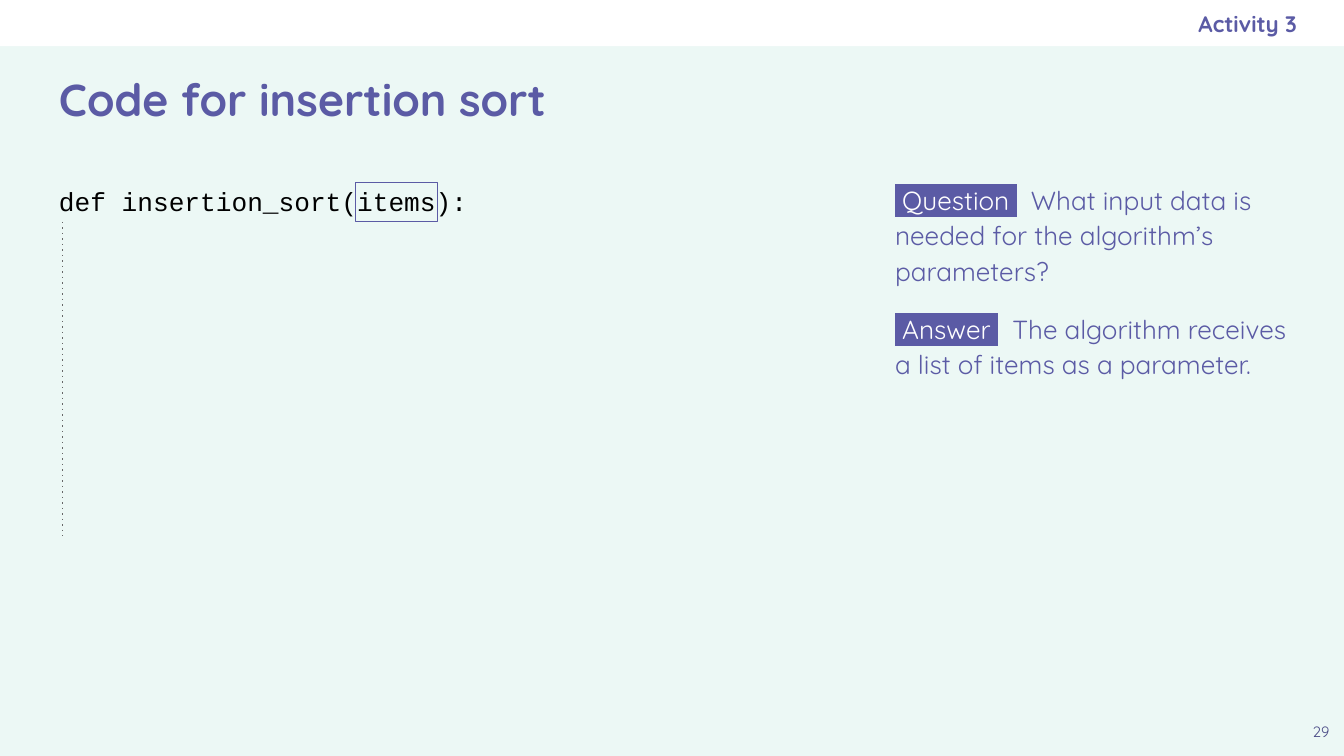
from dataclasses import dataclass

from lxml import etree
from pptx import Presentation
from pptx.dml.color import RGBColor
from pptx.enum.dml import MSO_LINE
from pptx.enum.shapes import MSO_CONNECTOR, MSO_SHAPE
from pptx.enum.text import MSO_ANCHOR, PP_ALIGN
from pptx.oxml.ns import qn
from pptx.util import Inches, Pt

DOT = MSO_LINE.ROUND_DOT
STRAIGHT = MSO_CONNECTOR.STRAIGHT
RECTANGLE = MSO_SHAPE.RECTANGLE
TOP, MIDDLE = MSO_ANCHOR.TOP, MSO_ANCHOR.MIDDLE
LEFT, CENTER, RIGHT = PP_ALIGN.LEFT, PP_ALIGN.CENTER, PP_ALIGN.RIGHT

COLORS = {
    "mint": "ECF8F5",
    "white": "FFFFFF",
    "black": "000000",
    "purple": "5B5BA5",
    "dark_purple": "494985",
    "gray": "666666",
}
BODY_FONT, CODE_FONT = "Quicksand", "Courier New"

# A grid of square cells, 100 columns across the slide
COLUMNS, ROWS = 100, 56.25
CELL = Inches(10) / COLUMNS
MARGIN = 3.4
HEADER_ROWS = 3.45
CONTENT_ROW = 12.8
CONTENT_RIGHT = COLUMNS - MARGIN


@dataclass(frozen=True)
class Box:
    column: float
    row: float
    columns: float
    rows: float

    def lengths(self) -> list[int]:
        return [cells(n) for n in (self.column, self.row, self.columns, self.rows)]


@dataclass(frozen=True)
class Label:
    text: str
    box: Box
    size: float
    color: str = "purple"
    font: str = BODY_FONT
    bold: bool = False
    align: PP_ALIGN = LEFT
    anchor: MSO_ANCHOR = TOP
    right_inset: float = 1


@dataclass(frozen=True)
class Prompt:
    tag: str
    text: str
    space_before: float = 0


def cells(count: float) -> int:
    return round(count * CELL)


def rgb(name: str) -> RGBColor:
    return RGBColor.from_string(COLORS[name])


def add_frame(slide, box: Box, inset: float, anchor: MSO_ANCHOR = TOP):
    frame = slide.shapes.add_textbox(*box.lengths()).text_frame
    frame.word_wrap = True
    frame.vertical_anchor = anchor
    frame.margin_left = frame.margin_right = cells(inset)
    frame.margin_top = frame.margin_bottom = cells(inset)
    return frame


def add_label(slide, label: Label) -> None:
    frame = add_frame(slide, label.box, 1, label.anchor)
    frame.margin_right = cells(label.right_inset)
    line = frame.paragraphs[0]
    line.text = label.text
    line.alignment = label.align
    line.font.name = label.font
    line.font.size = Pt(label.size)
    line.font.bold = label.bold
    line.font.color.rgb = rgb(label.color)


def add_rectangle(slide, box: Box, fill: str = "", outline: str = "") -> None:
    rectangle = slide.shapes.add_shape(RECTANGLE, *box.lengths())
    rectangle.shadow.inherit = False
    if fill:
        rectangle.fill.solid()
        rectangle.fill.fore_color.rgb = rgb(fill)
    else:
        rectangle.fill.background()
    if outline:
        rectangle.line.color.rgb = rgb(outline)
        rectangle.line.width = Pt(0.75)
    else:
        rectangle.line.fill.background()


def add_guide(slide, column: float, top: float, bottom: float) -> None:
    ends = [cells(n) for n in (column, top, column, bottom)]
    guide = slide.shapes.add_connector(STRAIGHT, *ends)
    guide.line.color.rgb = rgb("gray")
    guide.line.width = Pt(0.75)
    guide.line.dash_style = DOT
    # The widely spaced dot has no enum member
    properties = guide._element.spPr
    properties.find(f".//{qn('a:prstDash')}").set("val", "dot")
    etree.SubElement(properties, qn("a:effectLst"))


def highlight(run, color: str) -> None:
    fill = run.font._element.find(qn("a:solidFill"))
    marker = etree.Element(qn("a:highlight"))
    etree.SubElement(marker, qn("a:srgbClr"), val=COLORS[color])
    fill.addnext(marker)


def add_prompts(slide, box: Box, prompts: list[Prompt]) -> None:
    frame = add_frame(slide, box, 0.6)
    for index, prompt in enumerate(prompts):
        line = frame.add_paragraph() if index else frame.paragraphs[0]
        line.line_spacing = 1.13
        line.space_before = Pt(prompt.space_before)
        line.font.name = BODY_FONT
        line.font.size = Pt(14)
        tag, sentence = line.add_run(), line.add_run()
        tag.text, sentence.text = f" {prompt.tag} ", f"  {prompt.text}"
        tag.font.color.rgb = rgb("white")
        sentence.font.color.rgb = rgb("purple")
        highlight(tag, "purple")


LABELS = [
    Label("def insertion_sort(items):", Box(MARGIN, CONTENT_ROW, 65.2, 40), 14,
          color="black", font=CODE_FONT),
    Label("Code for insertion sort", Box(MARGIN, 3.55, COLUMNS - 2 * MARGIN, 7.6), 24,
          bold=True, anchor=MIDDLE),
    Label("29", Box(CONTENT_RIGHT, 53.1, MARGIN, MARGIN), 8,
          color="dark_purple", align=CENTER),
    Label("Activity 3", Box(57.5, 0, 39, HEADER_ROWS), 12,
          bold=True, align=RIGHT, anchor=MIDDLE, right_inset=0),
]
PROMPTS = [
    Prompt("Question", "What input data is needed for the algorithm’s parameters?"),
    Prompt("Answer", "The algorithm receives a list of items as a parameter.", 12),
]


def main() -> None:
    presentation = Presentation()
    presentation.slide_width = cells(COLUMNS)
    presentation.slide_height = cells(ROWS)
    slide = presentation.slides.add_slide(presentation.slide_layouts[6])
    slide.background.fill.solid()
    slide.background.fill.fore_color.rgb = rgb("mint")

    # Header band, title, code and page number
    add_rectangle(slide, Box(0, 0, COLUMNS, HEADER_ROWS), fill="white")
    for label in LABELS:
        add_label(slide, label)

    # Frame around the parameter and guide for the function body
    parameter = Box(26.45, 13.6, 6.1, 2.9)
    add_rectangle(slide, parameter, outline="purple")
    add_guide(slide, 4.65, parameter.row + parameter.rows, 39.9)

    # Question and answer
    add_prompts(slide, Box(66, CONTENT_ROW, CONTENT_RIGHT - 66, 8.2), PROMPTS)

    presentation.save("out.pptx")


if __name__ == "__main__":
    main()
